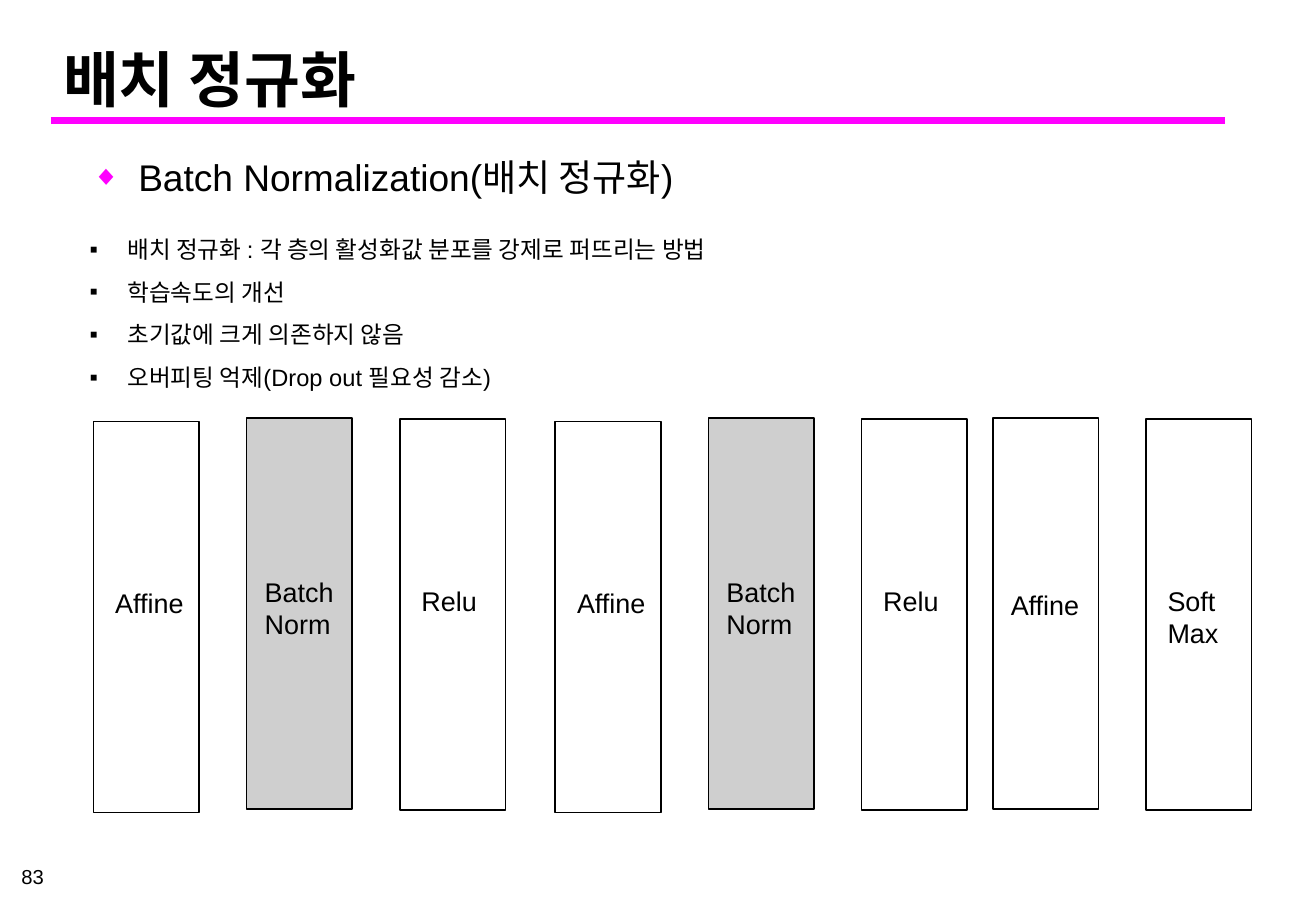
from dataclasses import dataclass

from lxml import etree
from pptx import Presentation
from pptx.dml.color import RGBColor
from pptx.enum import shapes, text
from pptx.oxml.ns import qn
from pptx.util import Inches, Pt


@dataclass(frozen=True)
class Theme:
    font: str = "Arial"
    ink: RGBColor = RGBColor(0, 0, 0)
    accent: RGBColor = RGBColor(0xFF, 0, 0xFF)
    norm_fill: RGBColor = RGBColor(0xCF, 0xCF, 0xCF)
    white: RGBColor = RGBColor(0xFF, 0xFF, 0xFF)
    title: int = 36
    heading: int = 22
    layer: int = 16
    point: int = 14
    page: int = 12


theme = Theme()
prs = Presentation()
prs.slide_width, prs.slide_height = Inches(10.83), Inches(7.5)
slide = prs.slides.add_slide(prs.slide_layouts[6])


def add_text(box, lines, size, bold=False, bullet=None, paragraph_format=None, **frame_format):
    """Write lines in a text box; bullet is (character, indent, colour, percent)."""
    left, top, width, height = map(Inches, box)
    frame = slide.shapes.add_textbox(left, top, width, height).text_frame
    for name, value in {"word_wrap": True, **frame_format}.items():
        setattr(frame, name, value)
    for index, line in enumerate(lines):
        paragraph = frame.paragraphs[0] if index == 0 else frame.add_paragraph()
        run = paragraph.add_run()
        run.text = line
        for name, value in (paragraph_format or {}).items():
            setattr(paragraph, name, value)
        if bullet:
            character, indent, color, percent = bullet
            properties = paragraph._p.get_or_add_pPr()
            properties.set("marL", str(Inches(indent)))
            properties.set("indent", str(-Inches(indent)))
            bullet_color = etree.SubElement(properties, qn("a:buClr"))
            etree.SubElement(bullet_color, qn("a:srgbClr"), val=str(color))
            etree.SubElement(properties, qn("a:buSzPct"), val=str(percent * 1000))
            etree.SubElement(properties, qn("a:buFont"), typeface=theme.font)
            etree.SubElement(properties, qn("a:buChar"), char=character)
        for name, value in {"name": theme.font, "size": Pt(size), "bold": bold}.items():
            setattr(run.font, name, value)
        run.font.color.rgb = theme.ink


# Title, rule and page number
rule = slide.shapes.add_connector(
    shapes.MSO_CONNECTOR.STRAIGHT, Inches(0.42), Inches(0.99), Inches(10.08), Inches(0.99))
rule.line.color.rgb = theme.accent
rule.line.width = Pt(4)
etree.SubElement(rule._element.spPr, qn("a:effectLst"))

add_text((0.42, 0.28, 9.58, 0.71), ["배치 정규화"], theme.title, bold=True,
         vertical_anchor=text.MSO_ANCHOR.BOTTOM)
add_text((-0.02, 7.14, 0.48, 0.15), ["83"], theme.page,
         paragraph_format={"alignment": text.PP_ALIGN.RIGHT},
         word_wrap=False, vertical_anchor=text.MSO_ANCHOR.MIDDLE)

# Heading and points
add_text((0.66, 1.15, 9.4, 0.55), ["Batch Normalization(배치 정규화)"], theme.heading,
         bullet=("◆", 0.38, theme.accent, 75), paragraph_format={"line_spacing": 1.2})
points = [
    "배치 정규화 : 각 층의 활성화값 분포를 강제로 퍼뜨리는 방법",
    "학습속도의 개선",
    "초기값에 크게 의존하지 않음",
    "오버피팅 억제(Drop out 필요성 감소)",
]
add_text((0.64, 1.77, 9.83, 1.47), points, theme.point,
         bullet=("▪", 0.31, theme.ink, 100), paragraph_format={"line_spacing": 1.5})

# Network layers: label lines, left, top, label offset, label top, fill
affine = (["Affine"], 3.47, 0.08, 4.78, None)
batch_norm = (["Batch", "Norm"], 3.44, 0.05, 4.69, theme.norm_fill)
relu = (["Relu"], 3.45, 0.08, 4.76, None)
last_affine = (["Affine"], 3.44, 0.05, 4.8, theme.white)
soft_max = (["Soft", "Max"], 3.45, 0.08, 4.76, None)
network = [
    (0.77, affine), (2.03, batch_norm), (3.29, relu),
    (4.57, affine), (5.83, batch_norm), (7.09, relu),
    (8.17, last_affine), (9.43, soft_max),
]
for left, (label, top, label_offset, label_top, fill) in network:
    layer = slide.shapes.add_shape(
        shapes.MSO_SHAPE.RECTANGLE, Inches(left), Inches(top), Inches(0.87), Inches(3.22))
    layer.shadow.inherit = False
    layer.line.color.rgb = theme.ink
    layer.line.width = Pt(1)
    if fill is None:
        layer.fill.background()
    else:
        layer.fill.solid()
        layer.fill.fore_color.rgb = fill
    label_height = 0.37 if len(label) == 1 else 0.64
    add_text((left + label_offset, label_top, 0.79, label_height), label, theme.layer)

prs.save("out.pptx")
